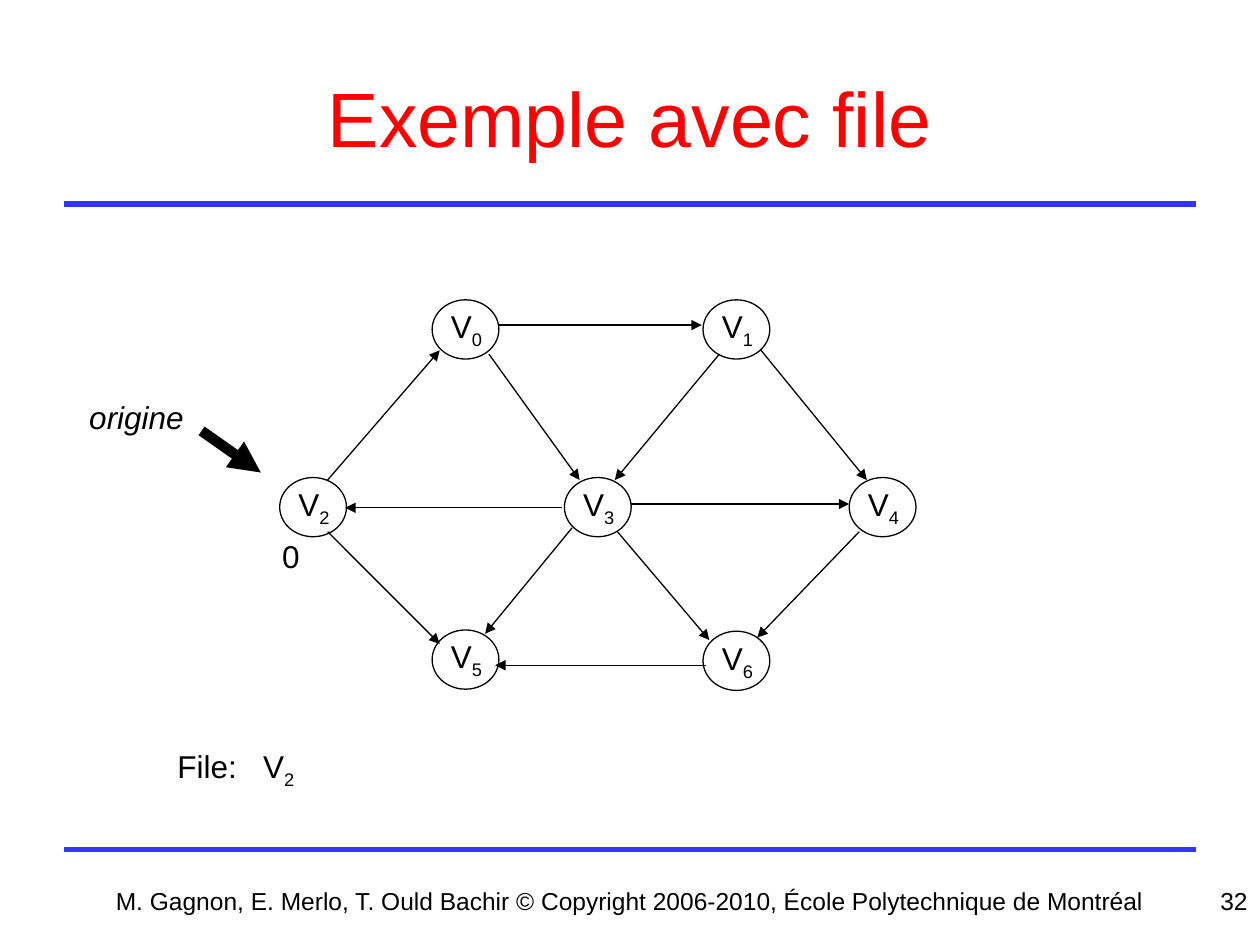
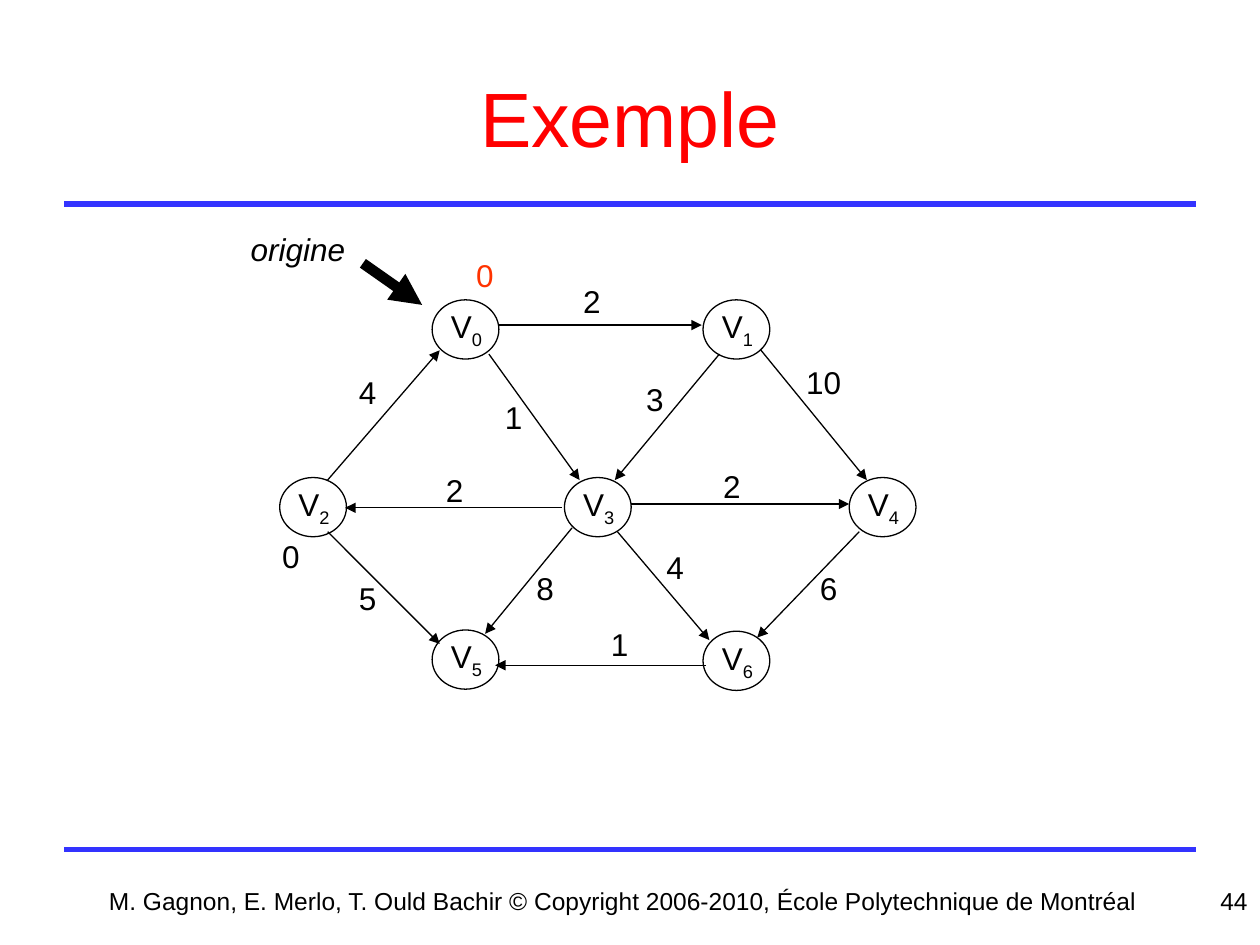
from pptx import Presentation
from pptx.dml.color import RGBColor
from pptx.enum.shapes import MSO_CONNECTOR as Link, MSO_SHAPE as Preset
from pptx.enum.text import MSO_ANCHOR as Anchor, MSO_AUTO_SIZE as Fit, PP_ALIGN as Align
from pptx.oxml.ns import qn
from pptx.util import Inches, Pt
from lxml.etree import SubElement

COLORS = {"title": "FF0000", "band": "3333FF", "ink": "000000", "start": "FF3300"}
FONT = "Arial"
COLUMNS, ROWS = 10, 7.5  # square grid cells
TITLE_ONLY = 5
CREDIT = "M. Gagnon, E. Merlo, T. Ould Bachir © Copyright 2006-2010, École Polytechnique de Montréal"

NODE_SIZE = (0.53, 0.47)
NODES = {  # vertex number: left, top
    "0": (3.43, 2.38), "1": (5.58, 2.38), "3": (4.48, 3.79), "2": (2.22, 3.79),
    "5": (3.43, 5), "6": (5.58, 5.01), "4": (6.74, 3.79),
}
EDGES = [  # start, end, weight, left and top of the weight, line width if not the usual
    ((3.96, 2.58), (5.57, 2.58), "2", (4.53, 2.19), 1),
    ((6.04, 2.78), (6.88, 3.81), "10", (6.3, 2.83)),
    ((6.82, 4.22), (6.01, 5.06), "6", (6.41, 4.47)),
    ((5.6, 5.28), (3.93, 5.28), "1", (4.75, 4.91)),
    ((2.6, 4.22), (3.49, 5.11), "5", (2.75, 4.55)),
    ((2.6, 3.81), (3.49, 2.78), "4", (2.75, 2.91)),
    ((3.88, 2.81), (4.6, 3.81), "1", (3.91, 3.11)),
    ((4.9, 4.22), (5.63, 5.08), "4", (5.19, 4.3)),
    ((5.71, 2.81), (4.88, 3.81), "3", (5.03, 2.97)),
    ((4.54, 4.19), (3.85, 5.03), "8", (4.16, 4.47)),
    ((5.01, 4), (6.74, 4), "2", (5.64, 3.66)),
    ((4.46, 4.03), (2.74, 4.03), "2", (3.44, 3.69)),
]


class Painter:
    """Holds the deck's style and the slide being drawn."""

    def __init__(self):
        self.deck = Presentation()
        self.deck.slide_width, self.deck.slide_height = Inches(10), Inches(7.5)
        self.page = None

    def cells(self, *pairs):
        """Turn (column, row) pairs into a flat list of lengths."""
        width, height = self.deck.slide_width, self.deck.slide_height
        return [length for column, row in pairs
                for length in (round(column * width / COLUMNS), round(row * height / ROWS))]

    def span(self, para, text, size=18, color="ink", italic=False, subscript=False):
        span = para.add_run()
        span.text = text
        span.font.name, span.font.size = FONT, Pt(size)
        span.font.color.rgb = RGBColor.from_string(COLORS[color])
        if italic:
            span.font.italic = True
        if subscript:
            span.font._element.set("baseline", "-25000")

    def new_page(self, title, number, credit_left=0, credit_width=COLUMNS):
        self.page = self.deck.slides.add_slide(self.deck.slide_layouts[TITLE_ONLY])
        for row in (6.74, 1.62):
            self.line((0.51, row), (9.49, row), 3, "band", arrow=False)
        box = self.page.shapes.title
        box.left, box.top, box.width, box.height = self.cells((0.5, 0.3), (9, 1.25))
        frame = box.text_frame
        frame.auto_size, frame.vertical_anchor = Fit.NONE, Anchor.MIDDLE
        para = frame.paragraphs[0]
        para.alignment = Align.CENTER
        self.span(para, title, 44, "title")
        self.footer(CREDIT, credit_left, credit_width, Align.CENTER)
        self.footer(number, 7.67, 2.33, Align.RIGHT)

    def footer(self, text, left, width, align):
        box = self.page.shapes.add_textbox(*self.cells((left, 6.98), (width, 0.52)))
        box.text_frame.word_wrap = True
        para = box.text_frame.paragraphs[0]
        para.alignment = align
        self.span(para, text, 14)

    def line(self, start, end, weight=0.75, color="ink", arrow=True):
        line = self.page.shapes.add_connector(Link.STRAIGHT, *self.cells(start, end))
        line.line.width = Pt(weight)
        line.line.color.rgb = RGBColor.from_string(COLORS[color])
        if arrow:
            SubElement(line.line._get_or_add_ln(), qn("a:tailEnd"), type="triangle")
        SubElement(line._element.spPr, qn("a:effectLst"))

    def label(self, text, place, size, index="", tab=None, shapes=None, **style):
        """Write one unwrapped line, with an optional subscript index and tab stop."""
        target = self.page.shapes if shapes is None else shapes
        box = target.add_textbox(*self.cells(place, size))
        frame = box.text_frame
        frame.word_wrap, frame.auto_size = False, Fit.SHAPE_TO_FIT_TEXT
        para = frame.paragraphs[0]
        if tab:
            stops = SubElement(para._p.get_or_add_pPr(), qn("a:tabLst"))
            SubElement(stops, qn("a:tab"), pos=str(Inches(tab)), algn="l")
        self.span(para, text, **style)
        if index:
            self.span(para, index, subscript=True, **style)

    def number(self, digits, place, **style):
        """Write a number in a box that is as wide as its digits and margins."""
        self.label(digits, place, (0.2 + 0.14 * len(digits), 0.4), **style)

    def node(self, index, left, top):
        shapes = self.page.shapes.add_group_shape().shapes
        circle = shapes.add_shape(Preset.OVAL, *self.cells((left, top), NODE_SIZE))
        circle.shadow.inherit = False
        circle.fill.background()
        circle.line.width = Pt(0.75)
        circle.line.color.rgb = RGBColor.from_string(COLORS["ink"])
        self.label("V", (left + 0.05, top + 0.01), (0.45, 0.44), index, shapes=shapes)

    def graph(self, weighted=False):
        for index, place in NODES.items():
            self.node(index, *place)
        for start, end, weight, place, *line_width in EDGES:
            self.line(start, end, *line_width)
            if weighted:
                self.number(weight, place)
        self.number("0", (2.14, 4.21))

    def origin(self, left, top):
        """Name the starting vertex, with a thick arrow towards it."""
        self.line((left + 0.99, top + 0.31), (left + 1.46, top + 0.64), 6)
        self.label("origine", (left, top), (0.95, 0.4), italic=True)


def main():
    painter = Painter()

    painter.new_page("Exemple avec file", "32")
    painter.graph()
    painter.origin(0.61, 3.11)
    painter.label("File:\tV", (1.31, 5.88), (1.13, 0.44), "2", tab=0.68)

    painter.new_page("Exemple", "44", 0.63, 8.63)
    painter.graph(weighted=True)
    painter.origin(1.89, 1.78)
    painter.number("0", (3.68, 1.98), color="start")

    painter.deck.save("out.pptx")


if __name__ == "__main__":
    main()
